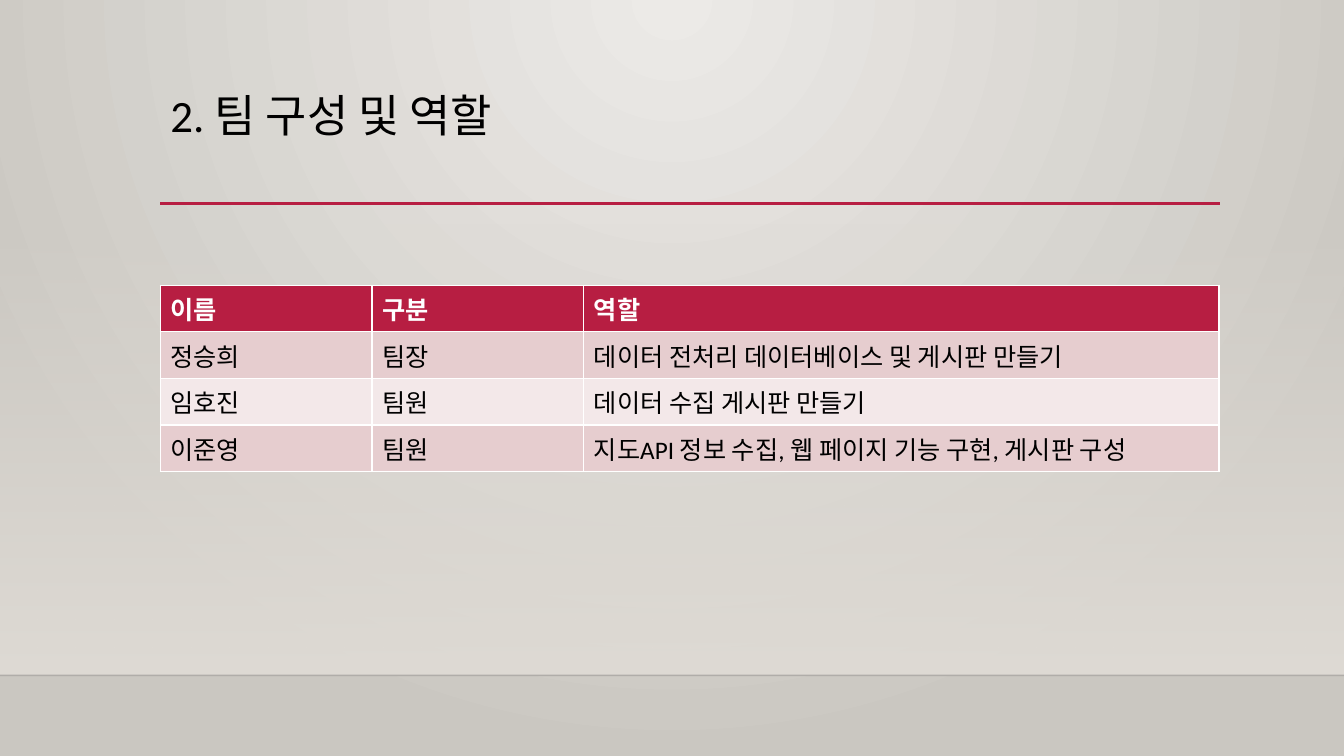
from pptx import Presentation
from pptx.dml.color import RGBColor
from pptx.enum.shapes import MSO_CONNECTOR as CONNECTOR, MSO_SHAPE as SHAPE
from pptx.enum.text import MSO_ANCHOR as ANCHOR, PP_ALIGN as ALIGN
from pptx.oxml import parse_xml
from pptx.oxml.ns import nsdecls, qn
from pptx.util import Inches, Pt

CRIMSON = "B71E42"
LEFT, WIDTH = 1.59, 10.5


def color(hex_code):
    return RGBColor.from_string(hex_code)


def set_gradient(parent, start, end, direction, start_alpha=100):
    """Replace the gradient inside parent with a two-stop one."""
    old = parent.find(".//" + qn("a:gradFill"))
    old.getparent().replace(old, parse_xml(
        f'<a:gradFill {nsdecls("a")} rotWithShape="1"><a:gsLst>'
        f'<a:gs pos="0"><a:srgbClr val="{start}"><a:alpha val="{start_alpha * 1000}"/></a:srgbClr></a:gs>'
        f'<a:gs pos="100000"><a:srgbClr val="{end}"/></a:gs>'
        f'</a:gsLst>{direction}</a:gradFill>'))


prs = Presentation()
prs.slide_width, prs.slide_height = Inches(13.33), Inches(7.5)
slide = prs.slides.add_slide(prs.slide_layouts[5])

# Background: light from the top centre
slide.background.fill.gradient()
set_gradient(slide.element, "ECEAE7", "CAC7C1",
             '<a:path path="circle"><a:fillToRect l="43000" t="0" r="43000" b="100000"/></a:path>')

# Wall fading in down to the floor
wall = slide.shapes.add_shape(SHAPE.RECTANGLE, 0, Inches(2.21), Inches(13.33), Inches(4.49))
wall.shadow.inherit = False
wall.line.fill.background()
wall.fill.gradient()
set_gradient(wall.element, "DFDBD5", "DFDBD5", '<a:lin ang="5400000" scaled="0"/>', start_alpha=0)

# Floor edge and title rule
for x1, x2, y, line_color, weight, alpha in [
    (0, 13.33, 6.7, "000001", 1, 20),
    (LEFT, 12.1, 2.02, CRIMSON, 2.5, 100),
]:
    rule = slide.shapes.add_connector(CONNECTOR.STRAIGHT, Inches(x1), Inches(y), Inches(x2), Inches(y))
    rule.line.color.rgb = color(line_color)
    rule.line.width = Pt(weight)
    rule.element.spPr.append(parse_xml(f'<a:effectLst {nsdecls("a")}/>'))
    rule.element.find(".//" + qn("a:srgbClr")).append(
        parse_xml(f'<a:alpha {nsdecls("a")} val="{alpha * 1000}"/>'))

# Title
title = slide.shapes.title
title.left, title.top, title.width, title.height = Inches(LEFT), Inches(0.88), Inches(WIDTH), Inches(1.15)
title.text_frame.text = "2. 팀 구성 및 역할"
title.text_frame.vertical_anchor = ANCHOR.TOP
heading = title.text_frame.paragraphs[0]
heading.alignment = ALIGN.LEFT
heading.line_spacing = 0.9
heading.font.name = "Calibri"
heading.font.size = Pt(32)
heading.font.color.rgb = color("000000")

# Team table
members = [
    ("이름", "구분", "역할"),
    ("정승희", "팀장", "데이터 전처리 데이터베이스 및 게시판 만들기"),
    ("임호진", "팀원", "데이터 수집 게시판 만들기"),
    ("이준영", "팀원", "지도API 정보 수집, 웹 페이지 기능 구현, 게시판 구성"),
]
team = slide.shapes.add_table(len(members), 3, Inches(LEFT), Inches(2.83), Inches(WIDTH), Inches(1.8)).table
for column, width in zip(team.columns, (2.1, 2.1, 6.3)):
    column.width = Inches(width)
for r, member in enumerate(members):
    is_header = r == 0
    row_fill = CRIMSON if is_header else ("F3E8E9", "E6CDCF")[r % 2]
    for c, entry in enumerate(member):
        cell = team.cell(r, c)
        cell.text = entry
        cell.fill.solid()
        cell.fill.fore_color.rgb = color(row_fill)
        font = cell.text_frame.paragraphs[0].font
        font.name = "Calibri"
        font.size = Pt(18)
        font.bold = is_header
        font.color.rgb = color("FFFFFF" if is_header else "000000")

prs.save("out.pptx")
